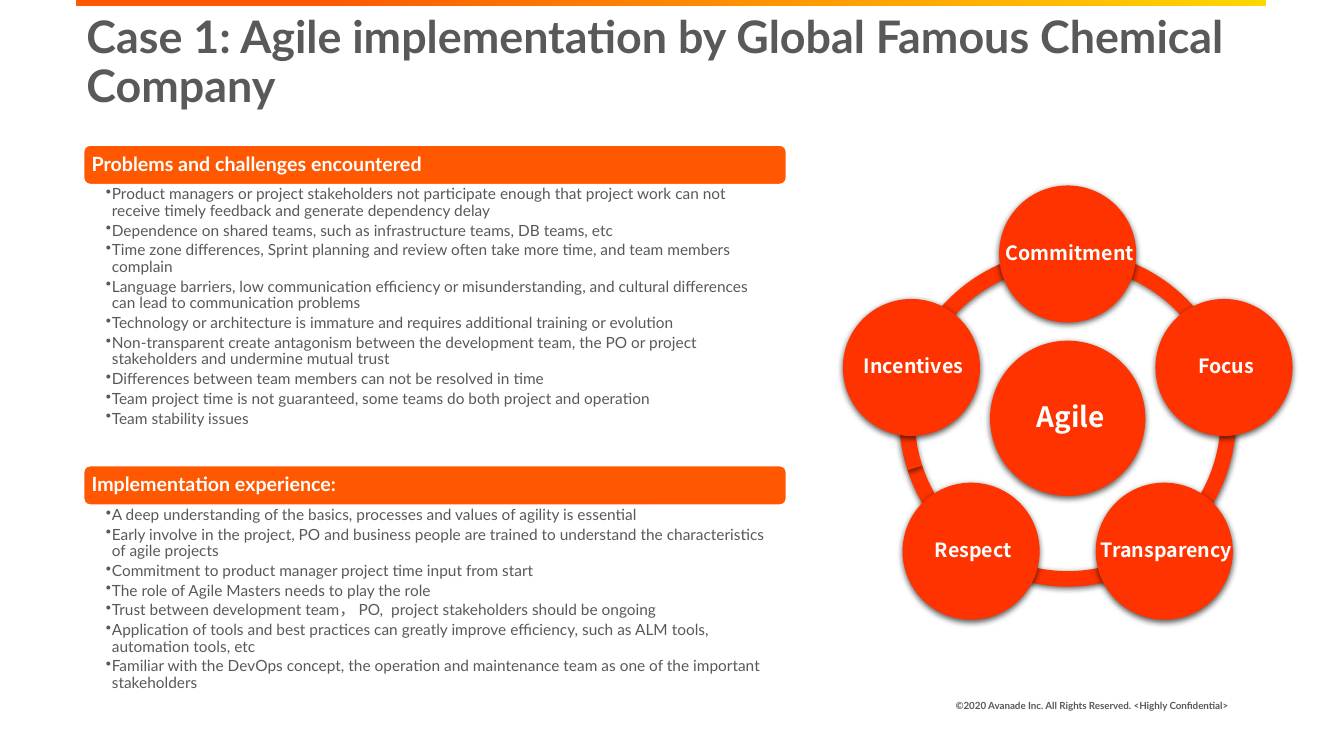
from math import cos, radians, sin

from lxml import etree
from pptx import Presentation
from pptx.dml.color import RGBColor
from pptx.enum.shapes import MSO_SHAPE
from pptx.enum.text import MSO_ANCHOR, PP_ALIGN
from pptx.oxml.ns import qn
from pptx.util import Inches, Pt

RECTANGLE = MSO_SHAPE.RECTANGLE
ROUNDED = MSO_SHAPE.ROUNDED_RECTANGLE
OVAL = MSO_SHAPE.OVAL
BLOCK_ARC = MSO_SHAPE.BLOCK_ARC
TOP, MIDDLE = MSO_ANCHOR.TOP, MSO_ANCHOR.MIDDLE
LEFT, CENTER, RIGHT = PP_ALIGN.LEFT, PP_ALIGN.CENTER, PP_ALIGN.RIGHT

COLORS = {
    "gold": "FFD700",
    "orange": "FF5800",
    "red": "FF3300",
    "gray": "595959",
    "white": "FFFFFF",
    "black": "000000",
}
BODY_FONT = "Lato"
WHEEL_FONT = "Noto Sans CJK SC"

TITLE = "Case 1: Agile implementation by Global Famous Chemical Company"
COPYRIGHT = "©2020 Avanade Inc. All Rights Reserved. <Highly Confidential>"

# Heading, top of the heading bar, height of the list, list items
SECTIONS = [
    ("Problems and challenges encountered", 1.44, 2.79, [
        "Product managers or project stakeholders not participate enough that project work "
        "can not receive timely feedback and generate dependency delay",
        "Dependence on shared teams, such as infrastructure teams, DB teams, etc",
        "Time zone differences, Sprint planning and review often take more time, "
        "and team members complain",
        "Language barriers, low communication efficiency or misunderstanding, "
        "and cultural differences can lead to communication problems",
        "Technology or architecture is immature and requires additional training or evolution",
        "Non-transparent create antagonism between the development team, "
        "the PO or project stakeholders and undermine mutual trust",
        "Differences between team members can not be resolved in time",
        "Team project time is not guaranteed, some teams do both project and operation",
        "Team stability issues",
    ]),
    ("Implementation experience:", 4.62, 2.22, [
        "A deep understanding of the basics, processes and values of agility is essential",
        "Early involve in the project, PO and business people are trained to understand "
        "the characteristics of agile projects",
        "Commitment to product manager project time input from start",
        "The role of Agile Masters needs to play the role",
        "Trust between development team， PO,  project stakeholders should be ongoing",
        "Application of tools and best practices can greatly improve efficiency, "
        "such as ALM tools, automation tools, etc",
        "Familiar with the DevOps concept, the operation and maintenance team "
        "as one of the important stakeholders",
    ]),
]
SECTION_LEFT, SECTION_WIDTH, HEADING_HEIGHT = 0.83, 6.97, 0.39

# Wheel geometry
WHEEL_X, WHEEL_Y = 10.59, 4.15
ORBIT_RADIUS = 1.63
RING_SIZE, HUB_SIZE, NODE_SIZE = 3.34, 1.54, 1.36
ARC_START, ARC_STEP = 32.4, 43.2
VALUES = [" Commitment", " Focus", " Transparency", " Respect", " Incentives"]


def color(name):
    return RGBColor.from_string(COLORS[name])


def set_font(paragraph, size, color_name, bold=False, name=BODY_FONT):
    paragraph.font.name = name
    paragraph.font.size = Pt(size)
    paragraph.font.bold = bold
    paragraph.font.color.rgb = color(color_name)


def set_frame(shape, margins, anchor=TOP, wrap=True):
    frame = shape.text_frame
    frame.word_wrap = wrap
    frame.vertical_anchor = anchor
    frame.margin_left, frame.margin_top, frame.margin_right, frame.margin_bottom = (
        Inches(margin) for margin in margins)
    return frame


def add_text(slide, box, text, size, anchor=TOP, align=LEFT, line_spacing=1.0):
    shape = slide.shapes.add_textbox(*map(Inches, box))
    paragraph = set_frame(shape, (0.1, 0.05, 0.1, 0.05), anchor).paragraphs[0]
    paragraph.text = text
    paragraph.alignment = align
    paragraph.line_spacing = line_spacing
    set_font(paragraph, size, "gray", bold=True)


def add_plain_shape(slide, kind, box, fill_name):
    shape = slide.shapes.add_shape(kind, *map(Inches, box))
    shape.shadow.inherit = False
    shape.fill.solid()
    shape.fill.fore_color.rgb = color(fill_name)
    shape.line.fill.background()
    return shape


def add_top_bar(slide):
    bar = add_plain_shape(slide, RECTANGLE, (0.76, 0, 11.8, 0.05), "orange")
    bar.fill.gradient()
    bar.fill.gradient_angle = 250
    stops = bar.fill.gradient_stops
    for stop, name, position in zip(stops, ("gold", "orange"), (0, 0.8)):
        stop.color.rgb = color(name)
        stop.position = position


def add_heading(slide, text, top):
    bar = add_plain_shape(
        slide, ROUNDED, (SECTION_LEFT, top, SECTION_WIDTH, HEADING_HEIGHT), "orange")
    bar.line.color.rgb = color("white")
    bar.line.width = Pt(1)
    paragraph = set_frame(bar, (0.06,) * 4, MIDDLE).paragraphs[0]
    paragraph.text = text
    paragraph.alignment = LEFT
    paragraph.line_spacing = 0.9
    set_font(paragraph, 14, "white", bold=True)


def add_bullets(slide, items, top, height):
    shape = slide.shapes.add_textbox(
        *map(Inches, (SECTION_LEFT, top, SECTION_WIDTH, height)))
    frame = set_frame(shape, (0.22, 0.02, 0.11, 0.02))
    for index, item in enumerate(items):
        paragraph = frame.add_paragraph() if index else frame.paragraphs[0]
        paragraph.text = item
        paragraph.level = 1
        properties = paragraph._p.get_or_add_pPr()
        properties.set("marL", str(Inches(0.06)))
        properties.set("indent", str(-Inches(0.06)))
        etree.SubElement(properties, qn("a:buChar"), char="•")
        paragraph.line_spacing = 0.9
        paragraph.space_after = Pt(2.2)
        set_font(paragraph, 11, "gray")


def add_wheel_part(slide, kind, center_x, center_y, size):
    box = (center_x - size / 2, center_y - size / 2, size, size)
    shape = add_plain_shape(slide, kind, box, "red")
    # Soft shadow straight below
    effects = shape._element.spPr.find(qn("a:effectLst"))
    shadow = etree.SubElement(
        effects, qn("a:outerShdw"), blurRad=str(Pt(4.5)), dist=str(Pt(1.5)),
        dir="5400000", algn="ctr", rotWithShape="0")
    tint = etree.SubElement(shadow, qn("a:srgbClr"), val=COLORS["black"])
    etree.SubElement(tint, qn("a:alpha"), val="63000")
    return shape


def add_arc(slide, start, end):
    arc = add_wheel_part(slide, BLOCK_ARC, WHEEL_X, WHEEL_Y, RING_SIZE)
    # Angles are held in 60000ths of a degree, adjustments in 100000ths
    arc.adjustments[0] = start * 0.6
    arc.adjustments[1] = end * 0.6
    arc.adjustments[2] = 0.046


def add_circle(slide, text, center_x, center_y, size, font_size):
    circle = add_wheel_part(slide, OVAL, center_x, center_y, size)
    paragraph = set_frame(circle, (0,) * 4, MIDDLE, wrap=False).paragraphs[0]
    paragraph.text = text
    paragraph.alignment = CENTER
    paragraph.line_spacing = 0.9
    set_font(paragraph, font_size, "white", bold=True, name=WHEEL_FONT)


def add_wheel(slide):
    # Four equal arcs below, one long arc over the top
    bounds = [ARC_START + ARC_STEP * index for index in range(5)]
    for index in (2, 1, 0, 4, 3):
        add_arc(slide, bounds[index], bounds[(index + 1) % 5])
    add_circle(slide, " Agile", WHEEL_X, WHEEL_Y, HUB_SIZE, 20)
    for index, value in enumerate(VALUES):
        angle = radians(-90 + index * 360 / len(VALUES))
        add_circle(slide, value, WHEEL_X + ORBIT_RADIUS * cos(angle),
                   WHEEL_Y + ORBIT_RADIUS * sin(angle), NODE_SIZE, 14)


def main():
    presentation = Presentation()
    presentation.slide_width = Inches(13.33)
    presentation.slide_height = Inches(7.5)
    slide = presentation.slides.add_slide(presentation.slide_layouts[6])

    # Frame: top bar, copyright line, title
    add_top_bar(slide)
    add_text(slide, (7.78, 6.8, 4.5, 0.4), COPYRIGHT, 7, MIDDLE, RIGHT)
    add_text(slide, (0.76, 0.1, 11.8, 1.09), TITLE, 32, line_spacing=0.9)

    # Left column
    for heading, top, height, items in SECTIONS:
        add_heading(slide, heading, top)
        add_bullets(slide, items, top + HEADING_HEIGHT, height)

    # Right column
    add_wheel(slide)
    presentation.save("out.pptx")


if __name__ == "__main__":
    main()
